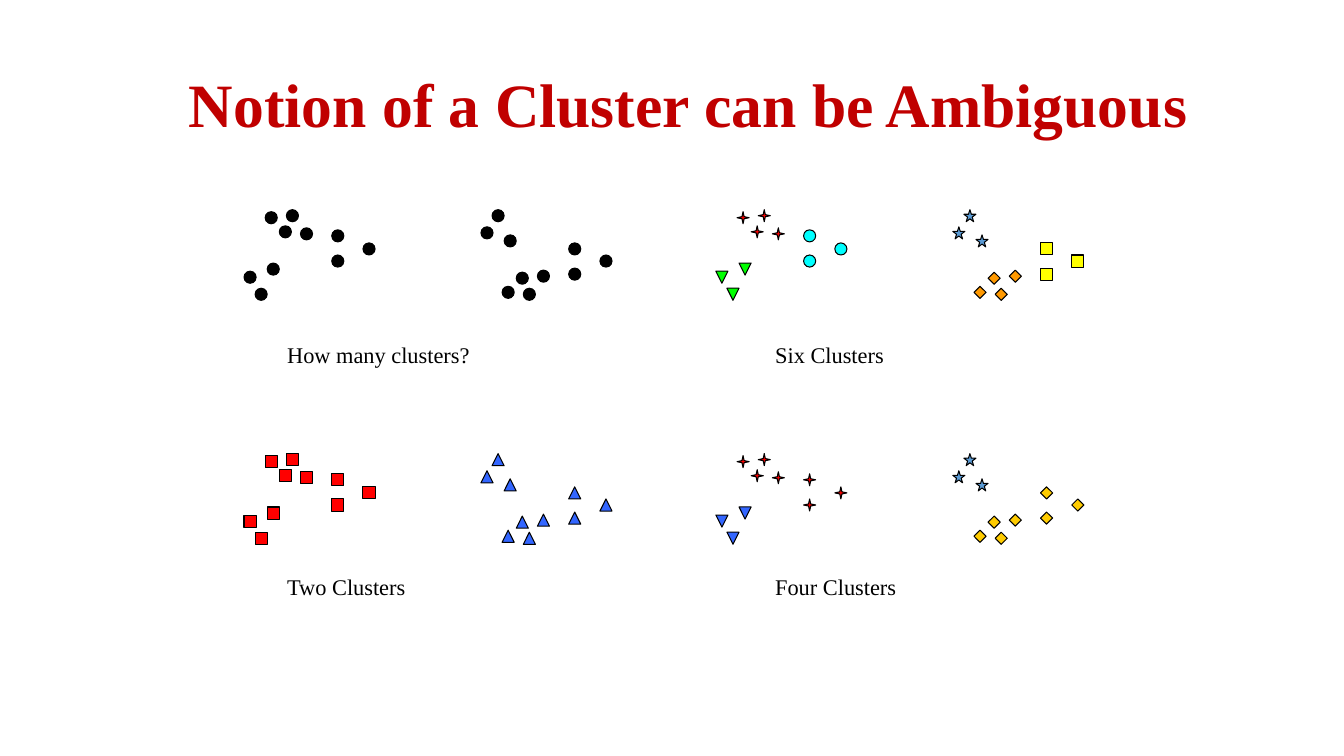
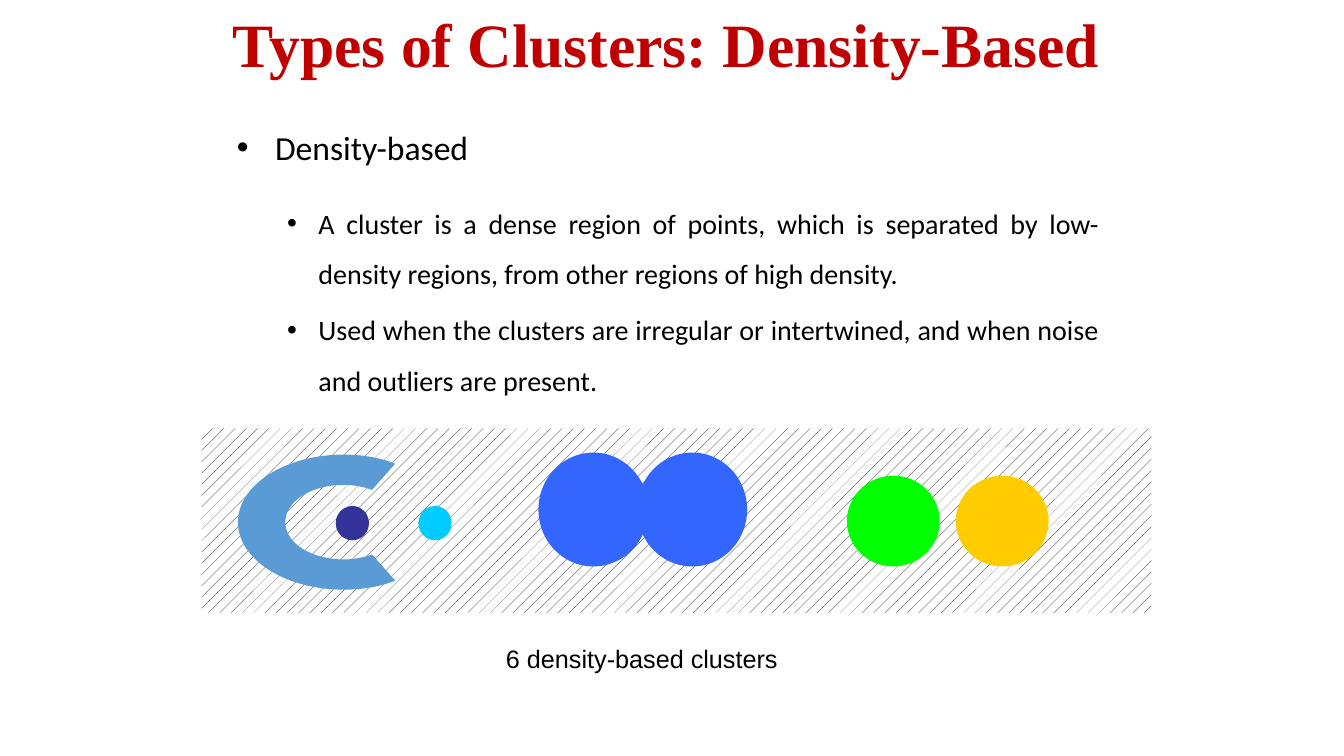
from lxml import etree
from pptx import Presentation
from pptx.dml import color
from pptx.enum import dml, shapes, text
from pptx.oxml import ns
from pptx.util import Inches, Pt

COLORS = {
    "title": "C00000", "black": "000000", "white": "FFFFFF", "red": "FF0000",
    "blue": "3366FF", "green": "00FF00", "cyan": "00FFFF", "yellow": "FFFF00",
    "orange": "FF9900", "gold": "FFCC00", "steel": "5B9BD5", "navy": "333399",
    "sky": "00CCFF",
}
SERIF, SANS, BODY = "Times New Roman", "Arial", "Calibri"
KINDS = shapes.MSO_SHAPE

MARKER_SIZE = 0.12
HALF_SHIFT, HALF_HEIGHT = 2.35, 0.78
POINT_SETS = [
    [(0.56, 0.18), (0.21, 0.02), (0.42, 0), (0.35, 0.16)],
    [(0.23, 0.53), (0, 0.61), (0.11, 0.78)],
    [(0.87, 0.2), (1.18, 0.33), (0.87, 0.45)],
]

DOT = (KINDS.OVAL, "black")
SQUARE = (KINDS.RECTANGLE, "red")
TRIANGLE = (KINDS.ISOSCELES_TRIANGLE, "blue")
SPARK = (KINDS.STAR_4_POINT, "red")
STAR = (KINDS.STAR_5_POINT, "steel")
GOLD_DIAMOND = (KINDS.DIAMOND, "gold")
PANELS = [
    ("How many clusters?", 0, 0, [DOT] * 3, [DOT] * 3),
    ("Four Clusters", 1, 1,
     [SPARK, (KINDS.FLOWCHART_EXTRACT, "blue"), SPARK],
     [GOLD_DIAMOND, STAR, GOLD_DIAMOND]),
    ("Two Clusters", 0, 1, [SQUARE] * 3, [TRIANGLE] * 3),
    ("Six Clusters", 1, 0,
     [SPARK, (KINDS.ISOSCELES_TRIANGLE, "green"), (KINDS.OVAL, "cyan")],
     [(KINDS.DIAMOND, "orange"), STAR, (KINDS.RECTANGLE, "yellow")]),
]

BULLETS = [
    ("Density-based", 0),
    ("A cluster is a dense region of points, which is separated by low-density "
     "regions, from other regions of high density.", 1),
    ("Used when the clusters are irregular or intertwined, and when noise and "
     "outliers are present.", 1),
]
LEVELS = [
    dict(size=24, margin=0.38, hanging=0.38, spacing=0.9, before=4.8, after=12,
         align=text.PP_ALIGN.LEFT),
    dict(size=20, margin=0.81, hanging=0.31, spacing=1.5, before=4, after=0,
         align=text.PP_ALIGN.JUSTIFY),
]

CRESCENT_WIDTH, CRESCENT_HEIGHT = 1.34, 2.12
INNER_HALF = [(0.35, 1.33), (0.32, 1.25), (0.3, 1.15), (0.3, 1.05),
              (0.3, 0.73), (0.46, 0.47), (0.67, 0.47)]
OUTER_HALF = [(0.09, 1.56), (0.03, 1.41), (0, 1.23), (0, 1.05),
              (0, 0.47), (0.3, 0), (0.67, 0)]

DISCS = [
    (1.33, 0.77, 0.33, 0.34, "navy"),
    (2.15, 0.77, 0.33, 0.34, "sky"),
    (6.4, 0.47, 0.92, 0.9, "green"),
    (7.48, 0.47, 0.92, 0.9, "gold"),
    (3.34, 0.24, 1.09, 1.13, "blue"),
    (4.32, 0.24, 1.09, 1.13, "blue"),
]


def rgb(name):
    return color.RGBColor.from_string(COLORS[name])


def style_paragraph(paragraph, font_name, size, color_name="black", bold=False):
    for run in paragraph.runs:
        run.font.name = font_name
        run.font.size = Pt(size)
        run.font.bold = bold
        run.font.color.rgb = rgb(color_name)


def add_text(parent, box, content, font_name, size, color_name="black", bold=False):
    frame = parent.add_textbox(*map(Inches, box)).text_frame
    frame.word_wrap = True
    frame.text = content
    style_paragraph(frame.paragraphs[0], font_name, size, color_name, bold)
    return frame


def add_caption(parent, box, content, font_name, size):
    frame = add_text(parent, box, content, font_name, size)
    frame.auto_size = text.MSO_AUTO_SIZE.SHAPE_TO_FIT_TEXT


def add_title(slide, box, content):
    frame = add_text(slide.shapes, box, content, SERIF, 44, "title", True)
    frame.vertical_anchor = text.MSO_ANCHOR.MIDDLE
    frame.paragraphs[0].alignment = text.PP_ALIGN.CENTER
    frame.paragraphs[0].line_spacing = 0.9


def finish_shape(shape, fill_name, outlined=False):
    shape.shadow.inherit = False
    shape.fill.solid()
    shape.fill.fore_color.rgb = rgb(fill_name)
    if outlined:
        shape.line.color.rgb = rgb("black")
        shape.line.width = Pt(0.75)
    else:
        shape.line.fill.background()


def add_marker(parent, left, top, marker, flipped):
    kind, fill_name = marker
    shape = parent.add_shape(kind, Inches(left), Inches(top),
                             Inches(MARKER_SIZE), Inches(MARKER_SIZE))
    if kind == KINDS.STAR_4_POINT:
        shape.adjustments[0] = 0.125
    if flipped:
        shape.element.spPr.find(ns.qn("a:xfrm")).set("flipV", "1")
    finish_shape(shape, fill_name, outlined=True)


def add_cluster_panel(slide, left, top, caption_box, caption, left_markers, right_markers):
    group = slide.shapes.add_group_shape().shapes
    for points, left_marker, right_marker in zip(POINT_SETS, left_markers, right_markers):
        for x, y in points:
            add_marker(group, left + x, top + y, left_marker, True)
            add_marker(group, left + HALF_SHIFT + x, top + HALF_HEIGHT - y,
                       right_marker, False)
    add_caption(group, caption_box, caption, SERIF, 16)


def add_bullets(slide, box):
    frame = slide.shapes.add_textbox(*map(Inches, box)).text_frame
    frame.word_wrap = True
    for index, (content, level) in enumerate(BULLETS):
        paragraph = frame.add_paragraph() if index else frame.paragraphs[0]
        layout = LEVELS[level]
        paragraph.text = content
        paragraph.level = level
        paragraph.alignment = layout["align"]
        paragraph.line_spacing = layout["spacing"]
        paragraph.space_before = Pt(layout["before"])
        paragraph.space_after = Pt(layout["after"])
        style_paragraph(paragraph, BODY, layout["size"])
        properties = paragraph._p.get_or_add_pPr()
        properties.set("marL", str(Inches(layout["margin"])))
        properties.set("indent", str(-Inches(layout["hanging"])))
        etree.SubElement(properties, ns.qn("a:buFont")).set("typeface", SANS)
        etree.SubElement(properties, ns.qn("a:buChar")).set("char", "•")


def mirror_half(half):
    return half + [(CRESCENT_WIDTH - x, y) for x, y in reversed(half[:-1])]


def curve_segments(segments):
    for start in range(0, len(segments), 3):
        curve = etree.Element(ns.qn("a:cubicBezTo"))
        segments[start].addprevious(curve)
        for segment in segments[start:start + 3]:
            curve.append(segment[0])
            segment.getparent().remove(segment)


def add_crescent(parent, left, top):
    inner = mirror_half(INNER_HALF)
    outline = [(Inches(x), Inches(y)) for x, y in inner + mirror_half(OUTER_HALF)[::-1]]
    builder = parent.build_freeform(*outline[0])
    builder.add_line_segments(outline[1:], close=True)
    shape = builder.convert_to_shape(Inches(left), Inches(top))
    geometry = next(shape.element.iter(ns.qn("a:path")))
    segments = geometry.findall(ns.qn("a:lnTo"))
    straight = len(inner) - 1
    curve_segments(segments[:straight])
    curve_segments(segments[straight + 1:len(outline) - 1])
    geometry.set("h", str(Inches(CRESCENT_HEIGHT)))
    shape.height = Inches(CRESCENT_HEIGHT)
    shape.rotation = 270
    finish_shape(shape, "steel")


def add_disc(parent, left, top, disc):
    x, y, width, height, fill_name = disc
    box = (left + x, top + y, width, height)
    finish_shape(parent.add_shape(KINDS.OVAL, *map(Inches, box)), fill_name)


def add_density_figure(slide, left, top, width, height):
    group = slide.shapes.add_group_shape().shapes
    noise = group.add_shape(KINDS.RECTANGLE, *map(Inches, (left, top, width, height)))
    finish_shape(noise, "white")
    noise.fill.patterned()
    noise.fill.pattern = dml.MSO_PATTERN.PERCENT_10
    noise.fill.fore_color.rgb = rgb("black")
    noise.fill.back_color.rgb = rgb("white")
    add_disc(group, left, top, DISCS[0])
    add_crescent(group, left + 0.75, top - 0.13)
    for disc in DISCS[1:]:
        add_disc(group, left, top, disc)


def build_ambiguity_slide(slide):
    add_title(slide, (1.14, 0.77, 11.38, 0.6), "Notion of a Cluster can be Ambiguous")
    for caption, column, row, left_markers, right_markers in PANELS:
        caption_box = (2.75 + 4.84 * column, 3.34 + 2.3 * row, 2.5, 0.37)
        add_cluster_panel(slide, 2.42 + 4.68 * column, 2.08 + 2.42 * row,
                          caption_box, caption, left_markers, right_markers)


def build_density_slide(slide):
    add_title(slide, (2.08, 0.17, 9.06, 0.6), "Types of Clusters: Density-Based")
    add_bullets(slide, (2.25, 1.25, 8.75, 5.59))
    add_density_figure(slide, 2, 4.25, 9.42, 1.83)
    add_caption(slide.shapes, (4.92, 6.33, 3.5, 0.4), "6 density-based clusters", SANS, 18)


def main():
    presentation = Presentation()
    presentation.slide_width = Inches(13.33)
    presentation.slide_height = Inches(7.5)
    for build in (build_ambiguity_slide, build_density_slide):
        build(presentation.slides.add_slide(presentation.slide_layouts[6]))
    presentation.save("out.pptx")


if __name__ == "__main__":
    main()
